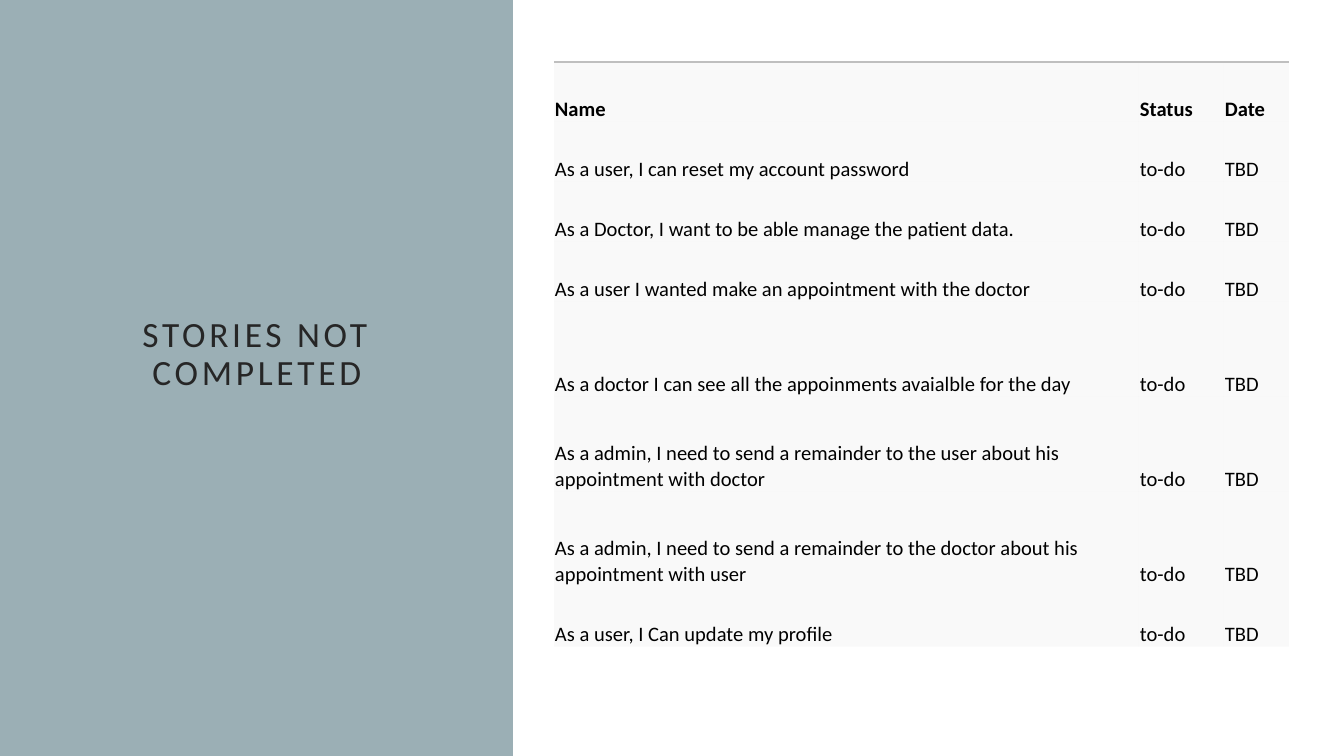
"""Build a slide listing the stories that are not completed."""
from dataclasses import dataclass

from lxml.etree import SubElement as Sub
from pptx import Presentation
from pptx.dml.color import RGBColor as Rgb
from pptx.enum.shapes import MSO_SHAPE as Shape
from pptx.enum.text import MSO_ANCHOR as Anchor, PP_ALIGN as Align
from pptx.oxml import parse_xml
from pptx.oxml.ns import nsdecls, qn
from pptx.util import Pt

SCALE = 914400 / 134.4
PLAIN = "{2D5ABB26-0587-4C30-8999-92F81FD0307C}"


@dataclass(frozen=True)
class Theme:
    font: str = "Calibri"
    panel: str = "9BAFB5"
    title: str = "262626"
    text: str = "000000"
    cell: str = "F2F2F2"
    rule: str = "BFBFBF"
    alpha: int = 45
    big: int = 19
    small: int = 11


@dataclass(frozen=True)
class Box:
    left: int
    top: int
    width: int
    height: int

    def emu(self) -> tuple[int, ...]:
        return tuple(px(n) for n in (self.left, self.top, self.width, self.height))


@dataclass(frozen=True)
class Row:
    name: str
    status: str = "to-do"
    date: str = "TBD"
    height: int = 60
    bold: bool = False


LOOK = Theme()
TALL = 95
COLS = (585, 85, 65)
ROWS = (
    Row("Name", "Status", "Date", bold=True),
    Row("As a user, I can reset my account password"),
    Row("As a Doctor, I want to be able manage the patient data."),
    Row("As a user I wanted make an appointment with the doctor"),
    Row("As a doctor I can see all the appoinments avaialble for the day", height=TALL),
    Row("As a admin, I need to send a remainder to the user about his "
        "appointment with doctor", height=TALL),
    Row("As a admin, I need to send a remainder to the doctor about his "
        "appointment with user", height=TALL),
    Row("As a user, I Can update my profile"),
)


def px(n: int) -> int:
    return round(n * SCALE)


def style(para, size: int, color: str, bold: bool = False) -> None:
    font = para.font
    font.name, font.size, font.bold = LOOK.font, Pt(size), bold
    font.color.rgb = Rgb.from_string(color)


def draw_panel(slide, box: Box) -> None:
    panel = slide.shapes.add_shape(Shape.RECTANGLE, *box.emu())
    panel.shadow.inherit = False
    panel.fill.solid()
    panel.fill.fore_color.rgb = Rgb.from_string(LOOK.panel)
    panel.line.fill.background()


def draw_title(slide, box: Box, text: str) -> None:
    frame = slide.shapes.add_textbox(*box.emu()).text_frame
    frame.word_wrap = True
    frame.vertical_anchor = Anchor.MIDDLE
    frame.margin_left = frame.margin_right = px(40)
    frame.margin_top = frame.margin_bottom = px(27)
    para = frame.paragraphs[0]
    para.alignment = Align.CENTER
    para.line_spacing = 0.9
    para.space_after = Pt(6)
    run = para.add_run()
    run.text = text
    run._r.get_or_add_rPr().set("spc", "200")
    style(para, LOOK.big, LOOK.title)


def fill_cell(cell, text: str, bold: bool) -> None:
    cell.text = text
    cell.vertical_anchor = Anchor.BOTTOM
    cell.margin_left = cell.margin_right = px(1)
    cell.margin_top, cell.margin_bottom = px(12), 0
    style(cell.text_frame.paragraphs[0], LOOK.small, LOOK.text, bold)
    cell.fill.solid()
    cell.fill.fore_color.rgb = Rgb.from_string(LOOK.cell)
    tint = cell._tc.tcPr.find(".//" + qn("a:srgbClr"))
    Sub(tint, qn("a:alpha"), val=str(LOOK.alpha * 1000))


def rule_top(cell) -> None:
    line = parse_xml(
        f'<a:lnT {nsdecls("a")} w="{Pt(1)}"><a:solidFill>'
        f'<a:srgbClr val="{LOOK.rule}"/></a:solidFill></a:lnT>')
    cell._tc.tcPr.insert(0, line)


def draw_table(slide, left: int, top: int, rows: tuple[Row, ...]) -> None:
    box = Box(left, top, sum(COLS), sum(row.height for row in rows))
    table = slide.shapes.add_table(len(rows), len(COLS), *box.emu()).table
    table.first_row = table.horz_banding = False
    table._tbl.tblPr.find(qn("a:tableStyleId")).text = PLAIN
    for col, width in zip(table.columns, COLS):
        col.width = px(width)
    for line, row in zip(table.rows, rows):
        line.height = px(row.height)
        for cell, text in zip(line.cells, (row.name, row.status, row.date)):
            fill_cell(cell, text, row.bold)
    for cell in table.rows[0].cells:
        rule_top(cell)


def main() -> None:
    deck = Presentation()
    deck.slide_width, deck.slide_height = px(1344), px(756)
    slide = deck.slides.add_slide(deck.slide_layouts[6])
    draw_panel(slide, Box(0, 0, 513, 756))
    draw_title(slide, Box(89, 265, 336, 180), "STORIES NOT COMPLETED")
    draw_table(slide, 554, 62, ROWS)
    deck.save("out.pptx")


if __name__ == "__main__":
    main()
